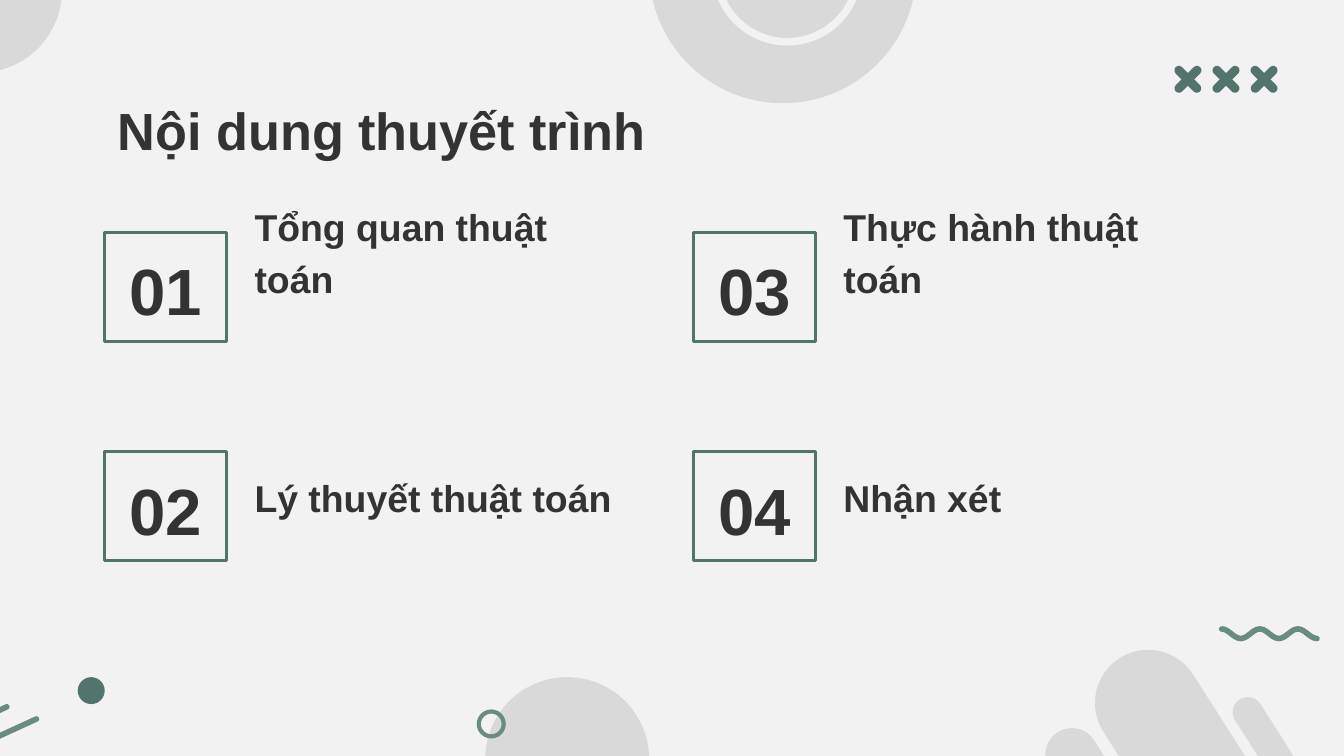
import math
from lxml import etree
from pptx import Presentation
from pptx.dml.color import RGBColor
from pptx.enum.shapes import MSO_CONNECTOR, MSO_SHAPE
from pptx.enum.text import MSO_ANCHOR, MSO_AUTO_SIZE, PP_ALIGN
from pptx.oxml.ns import qn
from pptx.util import Cm, Pt

OVAL, DONUT = MSO_SHAPE.OVAL, MSO_SHAPE.DONUT
RECT, ROUND_RECT = MSO_SHAPE.RECTANGLE, MSO_SHAPE.ROUNDED_RECTANGLE
TOP, MIDDLE, BOTTOM = MSO_ANCHOR.TOP, MSO_ANCHOR.MIDDLE, MSO_ANCHOR.BOTTOM
LEFT, CENTER = PP_ALIGN.LEFT, PP_ALIGN.CENTER

PAPER = RGBColor(0xF2, 0xF2, 0xF2)
GREY = RGBColor(0xD9, 0xD9, 0xD9)
GREEN = RGBColor(0x53, 0x74, 0x6D)
LIGHT_GREEN = RGBColor(0x68, 0x8C, 0x82)
INK = RGBColor(0x33, 0x33, 0x33)

COMPARISON = 4  # layout with a title and four body placeholders
TITLE = "Nội dung thuyết trình"
ITEMS = ["Tổng quan thuật toán", "Lý thuyết thuật toán",
         "Thực hành thuật toán", "Nhận xét"]


def set_attrs(obj, values):
    for name, value in values.items():
        setattr(obj, name, value)


def write(sp, text, size, anchor, align, top_inset=0.25, spacing=1.0):
    """Put one bold paragraph into a shape or placeholder."""
    tf = sp.text_frame
    set_attrs(tf, {"word_wrap": True, "auto_size": MSO_AUTO_SIZE.NONE,
                   "vertical_anchor": anchor, "margin_top": Cm(top_inset),
                   "margin_left": Cm(0.25), "margin_right": Cm(0.25),
                   "margin_bottom": Cm(0.25)})
    p = tf.paragraphs[0]
    set_attrs(p, {"alignment": align, "line_spacing": spacing,
                  "space_before": Pt(0), "space_after": Pt(0)})
    r = p.add_run()
    r.text = text
    set_attrs(r.font, {"name": "Arial", "size": Pt(size), "bold": True})
    r.font.color.rgb = INK
    return p


def place(sp, left, top, width, height):
    set_attrs(sp, {"left": Cm(left), "top": Cm(top),
                   "width": Cm(width), "height": Cm(height)})


def remove_bullet(p):
    pPr = p._p.get_or_add_pPr()
    pPr.set("marL", "0")
    pPr.set("indent", "0")
    etree.SubElement(pPr, qn("a:buNone"))


def paint(sp, fill=None, line=None, weight=1.5):
    sp.shadow.inherit = False
    if fill is None:
        sp.fill.background()
    else:
        sp.fill.solid()
        sp.fill.fore_color.rgb = fill
    if line is None:
        sp.line.fill.background()
    else:
        sp.line.color.rgb = line
        sp.line.width = Pt(weight)


def add_circle(s, left, top, size, kind=OVAL, **colors):
    sp = s.shapes.add_shape(kind, Cm(left), Cm(top), Cm(size), Cm(size))
    paint(sp, **colors)
    return sp


def add_capsule(s, cx, cy, length, thickness, angle, color):
    sp = s.shapes.add_shape(ROUND_RECT, Cm(cx - length / 2),
                            Cm(cy - thickness / 2), Cm(length), Cm(thickness))
    sp.adjustments[0] = 0.5
    sp.rotation = angle
    paint(sp, fill=color)


def round_cap(sp):
    ln = sp.line._get_or_add_ln()
    ln.set("cap", "rnd")


def add_stroke(s, x1, y1, x2, y2):
    c = s.shapes.add_connector(MSO_CONNECTOR.STRAIGHT,
                               Cm(x1), Cm(y1), Cm(x2), Cm(y2))
    c.line.color.rgb = LIGHT_GREEN
    c.line.width = Pt(3)
    round_cap(c)
    etree.SubElement(c._element.spPr, qn("a:effectLst"))


def add_wave(s, left, middle, width, amplitude, periods):
    steps = 60
    points = [(Cm(left + width * i / steps),
               Cm(middle - amplitude * math.cos(2 * math.pi * periods * i / steps)))
              for i in range(steps + 1)]
    fb = s.shapes.build_freeform(*points[0])
    fb.add_line_segments(points[1:], close=False)
    sp = fb.convert_to_shape()
    paint(sp, line=LIGHT_GREEN, weight=3)
    round_cap(sp)


def add_decoration(s):
    # Slanted capsules, bottom right
    for cx, cy, thickness in [(22.47, 14.5, 2.01), (21.3, 15.9, 1), (24.74, 15.28, 0.57)]:
        add_capsule(s, cx, cy, 4.88, thickness, 57.5, GREY)
    # Grey discs, with a pale ring on the top one
    for left, top, size in [(12.27, -3.1, 5.05), (9.17, 12.8, 3.1), (-1.93, -1.73, 3.1)]:
        add_circle(s, left, top, size, fill=GREY)
    ring = add_circle(s, 13.46, -1.98, 2.84, DONUT, fill=PAPER)
    ring.adjustments[0] = 0.05
    # Three crosses, top right
    for i in range(3):
        for angle in (45, 135):
            add_capsule(s, 22.45 + 0.72 * i, 1.5, 0.65, 0.17, angle, GREEN)
    # Small green accents
    add_circle(s, 9.05, 13.45, 0.47, line=LIGHT_GREEN, weight=2.25)
    add_circle(s, 1.47, 12.8, 0.51, fill=GREEN)
    add_wave(s, 23.09, 11.98, 1.8, 0.09, 2.5)
    add_stroke(s, -0.25, 14.02, 0.69, 13.59)
    add_stroke(s, -0.41, 13.61, 0.13, 13.36)


def add_item(s, number, text, label):
    """Numbered box with its label, two items down each column."""
    column, row = divmod(number - 1, 2)
    left, top = 1.98 + 11.13 * column, 4.39 + 4.14 * row
    place(label, left + 2.58, top + 0.51, 7.72, 1.04)
    remove_bullet(write(label, text, 20, BOTTOM, LEFT, spacing=1.15))
    box = s.shapes.add_shape(RECT, Cm(left), Cm(top), Cm(2.31), Cm(2.06))
    paint(box, line=GREEN)
    write(box, f"{number:02}", 35, MIDDLE, CENTER, top_inset=0.37)


def main():
    prs = Presentation()
    prs.slide_width, prs.slide_height = Cm(25.4), Cm(14.29)
    s = prs.slides.add_slide(prs.slide_layouts[COMPARISON])
    s.background.fill.solid()
    s.background.fill.fore_color.rgb = PAPER
    add_decoration(s)

    # Title and agenda
    title, *labels = s.placeholders
    place(title, 1.98, 1.5, 21.44, 1.55)
    write(title, TITLE, 28, TOP, LEFT, top_inset=0.36)
    for number, (text, label) in enumerate(zip(ITEMS, labels), 1):
        add_item(s, number, text, label)
    prs.save("out.pptx")


if __name__ == "__main__":
    main()
